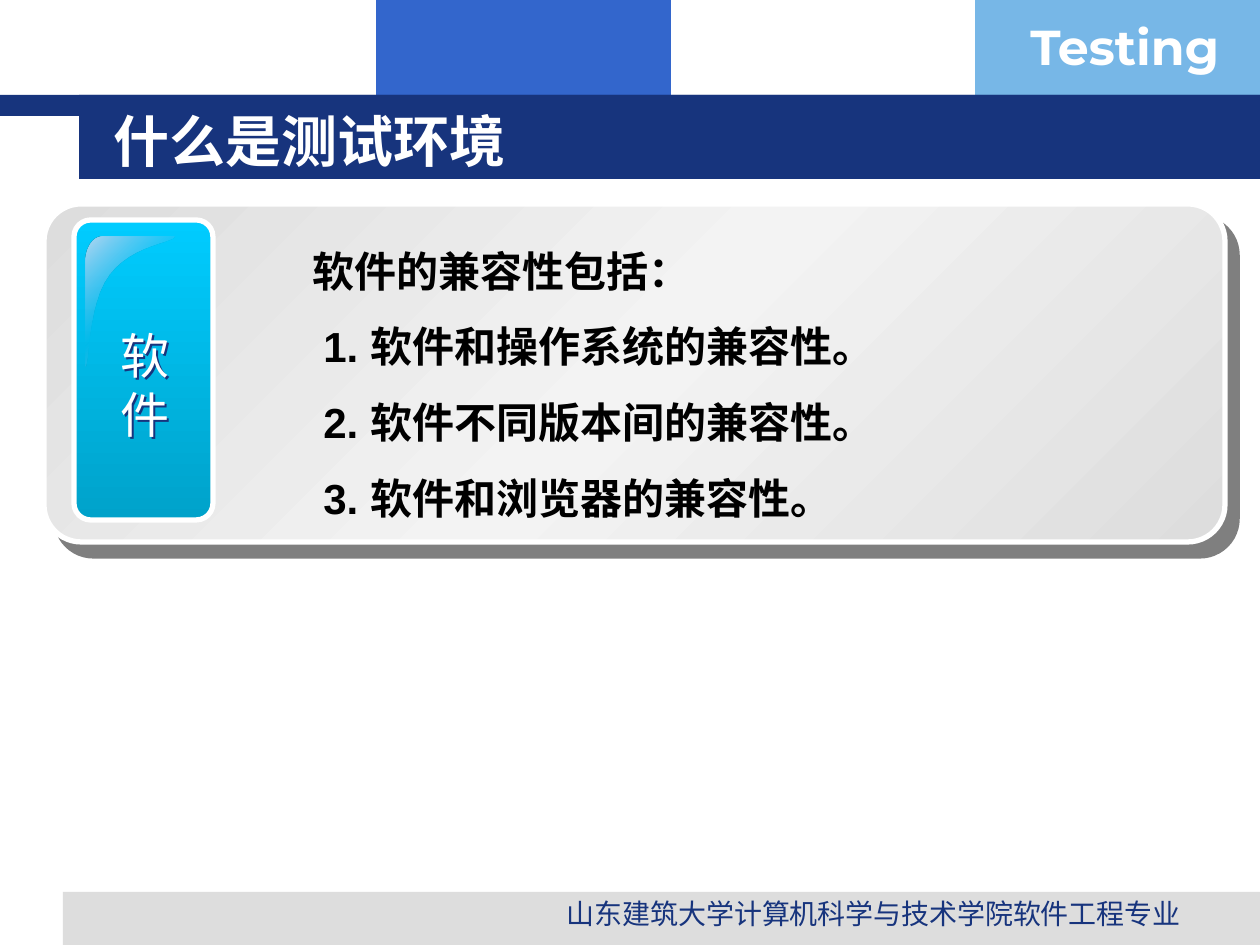
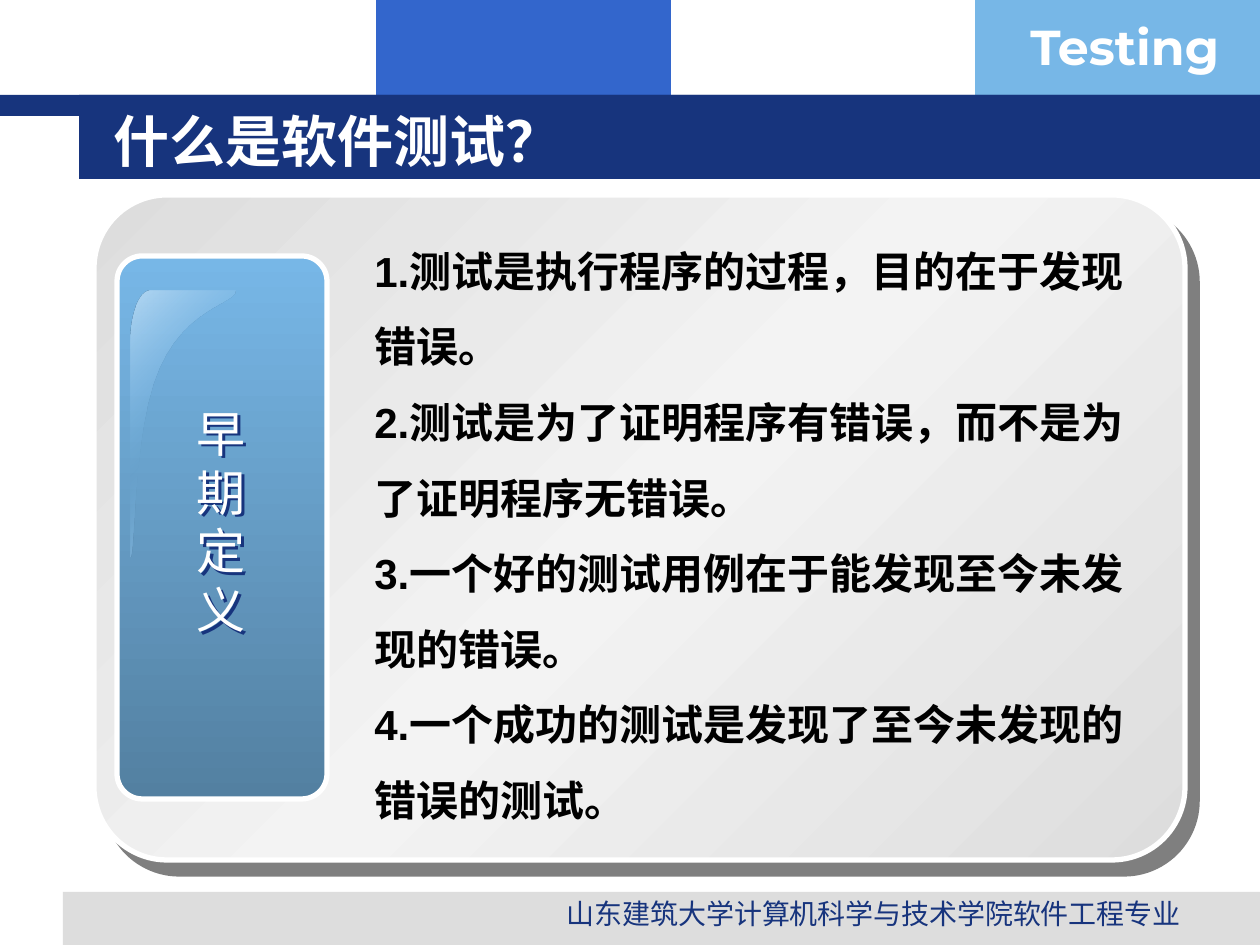
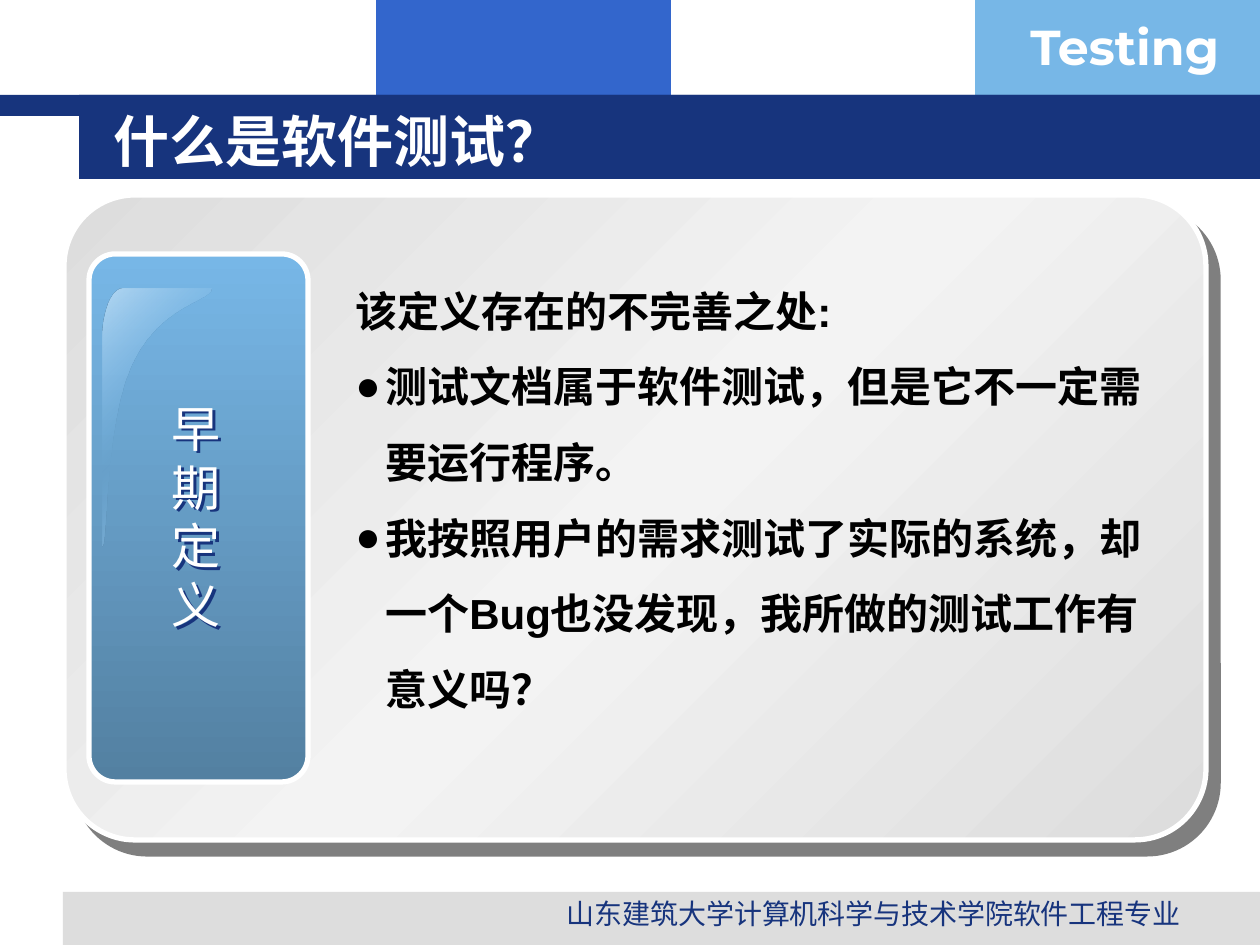
import pptx
import pptx.util
import pptx.dml.color
import pptx.enum.shapes
import pptx.enum.text
import pptx.oxml
import pptx.oxml.ns

HUE = {
    "navy": "17347D", "blue": "3366CC", "sky": "77B7E7", "steel": "5380A1",
    "cyan": "00CCFF", "teal": "00A2CA", "pale": "B5D8F2",
    "grey": "DDDDDD", "mist": "F3F3F3", "white": "FFFFFF", "black": "000000",
}
UNIT = 914400 / 126  # EMU in one px
NS = pptx.oxml.ns.nsdecls("a")
RECT = pptx.enum.shapes.MSO_SHAPE.RECTANGLE
ROUND = pptx.enum.shapes.MSO_SHAPE.ROUNDED_RECTANGLE
MID = pptx.enum.text.PP_ALIGN.CENTER

# Gradients as (place, hue, alpha) stops and an angle
PANEL = ([(0, "grey", 100), (50, "mist", 100), (100, "grey", 100)], 45)
SHINE = ([(0, "pale", 100), (50, "sky", 0), (100, "pale", 100)], 45)
SKY = ([(0, "sky", 100), (100, "steel", 100)], 90)
CYAN = ([(0, "cyan", 100), (100, "teal", 100)], 90)

# Outline of the gloss as shares of its box: cubic curves of four points
GLOSS = [
    [(.19, 0), (.08, 0), (0, .09), (0, .19)],
    [(0, .98), (.05, 1), (.02, .51), (.27, .29)],
    [(.27, .29), (.52, .06), (1, .05), (.99, 0)],
]


def emu(px):
    return round(px * UNIT)


def rgb(hue):
    return pptx.dml.color.RGBColor.from_string(HUE[hue])


def curve(knots, steps=12):
    """Points along one cubic curve."""
    for i in range(steps + 1):
        t = i / steps
        parts = ((1 - t) ** 3, 3 * t * (1 - t) ** 2, 3 * t * t * (1 - t), t ** 3)
        yield tuple(sum(w * k[axis] for w, k in zip(parts, knots))
                    for axis in (0, 1))


class Deck:
    def __init__(self):
        self.file = pptx.Presentation()
        self.file.slide_width = emu(1260)
        self.file.slide_height = emu(945)
        self.slide = None

    # Shapes
    def paint(self, shape, fill, line=None):
        shape.shadow.inherit = False
        if isinstance(fill, str):
            shape.fill.solid()
            shape.fill.fore_color.rgb = rgb(fill)
        else:
            self.blend(shape, *fill)
        if line:
            shape.line.color.rgb = rgb(line)
            shape.line.width = pptx.util.Pt(3)
        else:
            shape.line.fill.background()

    def blend(self, shape, stops, angle):
        shape.fill.background()
        marks = "".join(
            f'<a:gs pos="{at * 1000}"><a:srgbClr val="{HUE[hue]}">'
            f'<a:alpha val="{alpha * 1000}"/></a:srgbClr></a:gs>'
            for at, hue, alpha in stops)
        grad = pptx.oxml.parse_xml(
            f'<a:gradFill {NS} rotWithShape="1"><a:gsLst>{marks}</a:gsLst>'
            f'<a:lin ang="{angle * 60000}" scaled="0"/></a:gradFill>')
        props = shape._element.spPr
        props.replace(props.find(pptx.oxml.ns.qn("a:noFill")), grad)

    def shade(self, shape, hue, alpha, dist, angle):
        shape.shadow.inherit = False
        list_ = shape._element.spPr.find(pptx.oxml.ns.qn("a:effectLst"))
        list_.append(pptx.oxml.parse_xml(
            f'<a:outerShdw {NS} dist="{pptx.util.Pt(dist)}" dir="{angle * 60000}"'
            f' algn="ctr" rotWithShape="0"><a:srgbClr val="{HUE[hue]}">'
            f'<a:alpha val="{alpha * 1000}"/></a:srgbClr></a:outerShdw>'))

    def block(self, box, fill, line=None, bend=None):
        kind = RECT if bend is None else ROUND
        shape = self.slide.shapes.add_shape(kind, *map(emu, box))
        if bend is not None:
            shape.adjustments[0] = bend
        self.paint(shape, fill, line)
        return shape

    def gloss(self, box):
        left, top, width, height = box
        dots = [(emu(left + x * width), emu(top + y * height))
                for knots in GLOSS for x, y in curve(knots)]
        pen = self.slide.shapes.build_freeform(*dots[0], scale=1.0)
        pen.add_line_segments(dots[1:], close=True)
        self.paint(pen.convert_to_shape(), SHINE)

    # Text
    def text(self, box, lines, size, hue, font="Arial", bold=False,
             align=None, space=None, wrap=True, middle=False):
        """Each line is (words, left margin px, bullet or None)."""
        shape = self.slide.shapes.add_textbox(*map(emu, box))
        frame = shape.text_frame
        frame.word_wrap = wrap
        if middle:
            frame.vertical_anchor = pptx.enum.text.MSO_ANCHOR.MIDDLE
        for i, (words, inset, mark) in enumerate(lines):
            para = frame.add_paragraph() if i else frame.paragraphs[0]
            if inset:
                self.inset(para, inset, mark)
            para.alignment = align
            para.line_spacing = space
            run = para.add_run()
            run.text = words
            run.font.size = pptx.util.Pt(size)
            run.font.name = font
            run.font.bold = bold
            run.font.color.rgb = rgb(hue)
        return shape

    def inset(self, para, px, mark):
        props = para._p.get_or_add_pPr()
        props.set("marL", str(emu(px)))
        if mark:
            props.set("indent", str(-emu(px)))
            for part in (f'<a:buClr {NS}><a:srgbClr val="{HUE["black"]}"/></a:buClr>',
                         f'<a:buFont {NS} typeface="Arial"/>',
                         f'<a:buChar {NS} char="{mark}"/>'):
                props.append(pptx.oxml.parse_xml(part))

    # Slide parts
    def page(self, title):
        self.slide = self.file.slides.add_slide(self.file.slide_layouts[6])
        for box, hue in [((376, 0, 295, 116), "blue"),
                         ((975, 0, 285, 116), "sky"),
                         ((63, 892, 1197, 53), "grey"),
                         ((0, 95, 1260, 21), "navy"),
                         ((79, 95, 1181, 84), "navy")]:
            self.block(box, hue)
        self.text((1018, 10, 243, 72), [("Testing", 0, None)], 28, "white",
                  "Montserrat", True)
        self.text((512, 890, 724, 39),
                  [("山东建筑大学计算机科学与技术学院软件工程专业", 0, None)],
                  16, "navy", align=MID)
        self.text((101, 101, 1075, 78), [(title, 0, None)], 32, "white",
                  "DejaVu Sans", True, middle=True)

    def panel(self, box):
        shape = self.block(box, PANEL, "white", 0.11)
        self.shade(shape, "black", 50, 10.6, 49)

    def tag(self, box, fill, shine, label, words):
        self.block(box, fill, "white", 0.12)
        self.gloss(shine)
        shape = self.text(label, [(word, 0, None) for word in words], 28,
                          "white", align=MID, wrap=False)
        self.shade(shape, "navy", 100, 2, 45)

    def body(self, box, lines):
        self.text(box, lines, 24, "black", bold=True, space=1.5)


def main():
    deck = Deck()

    # Software compatibility
    deck.page("什么是测试环境")
    deck.panel((44, 204, 1181, 338))
    deck.tag((74, 220, 139, 300), CYAN, (86, 237, 89, 132),
             (105, 319, 79, 131), ["软", "件"])
    deck.body((253, 214, 824, 315), [
        ("软件的兼容性包括：", 47, None),
        ("1. 软件和操作系统的兼容性。", 58, None),
        ("2. 软件不同版本间的兼容性。", 58, None),
        ("3. 软件和浏览器的兼容性。", 58, None),
    ])

    # Early definition
    early = ["早期", "定义"]
    deck.page("什么是软件测试？")
    deck.panel((94, 195, 1091, 665))
    deck.tag((117, 256, 210, 543), SKY, (131, 291, 105, 272),
             (160, 397, 122, 131), early)
    deck.body((362, 214, 774, 617), [
        ("1.测试是执行程序的过程，目的在于发现错误。", 0, None),
        ("2.测试是为了证明程序有错误，而不是为了证明程序无错误。", 0, None),
        ("3.一个好的测试用例在于能发现至今未发现的错误。", 0, None),
        ("4.一个成功的测试是发现了至今未发现的错误的测试。", 0, None),
    ])

    # Gaps in the early definition
    deck.page("什么是软件测试？")
    deck.panel((64, 195, 1142, 645))
    deck.tag((89, 254, 219, 528), SKY, (103, 289, 110, 263),
             (135, 392, 122, 131), early)
    deck.body((343, 254, 843, 542), [
        ("该定义存在的不完善之处:", 0, None),
        ("测试文档属于软件测试，但是它不一定需要运行程序。", 30, "●"),
        ("我按照用户的需求测试了实际的系统，却一个Bug也没发现，"
         "我所做的测试工作有意义吗？", 30, "●"),
    ])

    deck.file.save("out.pptx")


if __name__ == "__main__":
    main()
